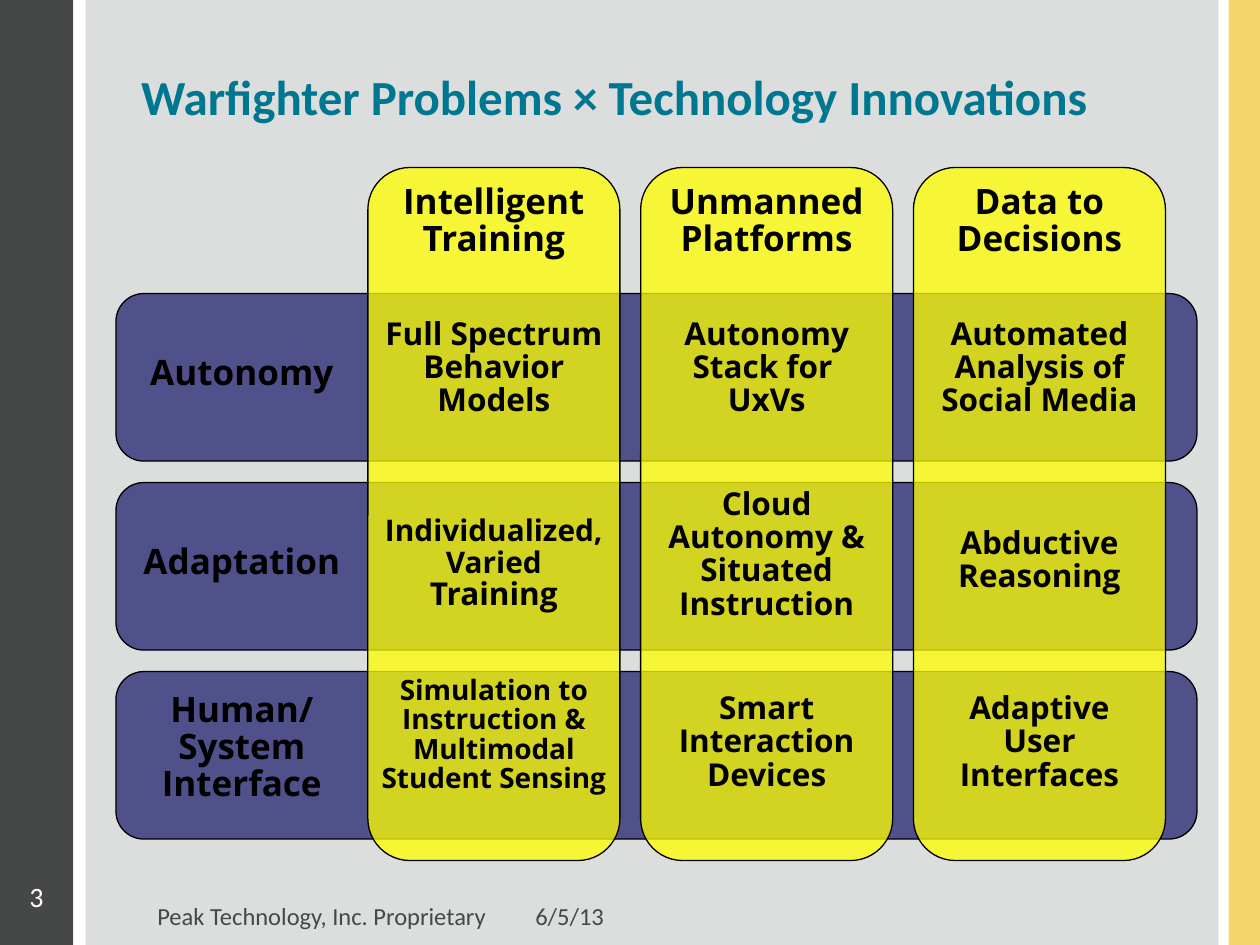
"""Build the slide that crosses warfighter problems with technology innovations."""
from lxml import etree
from pptx import Presentation
from pptx.dml.color import RGBColor
from pptx.enum.shapes import MSO_SHAPE
from pptx.enum.text import MSO_ANCHOR, PP_ALIGN
from pptx.oxml.ns import qn
from pptx.util import Inches, Pt

RECT, ROUND = MSO_SHAPE.RECTANGLE, MSO_SHAPE.ROUNDED_RECTANGLE
LEFT, CENTER = PP_ALIGN.LEFT, PP_ALIGN.CENTER
TOP, MIDDLE = MSO_ANCHOR.TOP, MSO_ANCHOR.MIDDLE

BLACK = RGBColor(0x00, 0x00, 0x00)
WHITE = RGBColor(0xFF, 0xFF, 0xFF)
DARK = RGBColor(0x46, 0x48, 0x47)
GOLD = RGBColor(0xF4, 0xD6, 0x6C)
GRAY = RGBColor(0xDC, 0xDE, 0xDE)
TEAL = RGBColor(0x00, 0x77, 0x90)
NAVY = RGBColor(0x26, 0x26, 0x73)
YELLOW = RGBColor(0xFF, 0xFF, 0x00)

TITLE = "Warfighter Problems × Technology Innovations"
FOOTER = "Peak Technology, Inc. Proprietary \t6/5/13"
NUMBER = "3"
PANELS = [(0, 0.58, DARK), (9.75, 0.25, GOLD), (0.68, 8.99, GRAY)]
HEADS = ["Intelligent\vTraining", "Unmanned\vPlatforms", "Data to\vDecisions"]
ROWS = [
    ("Autonomy", 2.78, 0.44),
    ("Adaptation", 4.28, 0.44),
    ("Human/System\vInterface", 5.45, 1.11),
]
CELLS = [
    [("Full Spectrum Behavior Models", 18, 2.48, 1.01),
     ("Autonomy\vStack for \vUxVs", 18, 2.48, 1.01),
     ("Automated\vAnalysis of\nSocial Media", 18, 2.48, 1.01)],
    [("Individualized, Varied\vTraining", 17, 4.05, 0.99),
     ("Cloud Autonomy & Situated Instruction", 18, 3.83, 1.31),
     ("Abductive\vReasoning", 18, 4.14, 0.71)],
    [("Simulation to Instruction & Multimodal\vStudent Sensing", 16, 5.32, 1.45),
     ("Smart\vInteraction\vDevices", 18, 5.45, 1.01),
     ("Adaptive\vUser\nInterfaces", 18, 5.45, 1.01)],
]
ROW_X, ROW_Y, ROW_W, ROW_H, ROW_STEP = 0.92, 2.33, 8.58, 1.33, 1.5
COL_X, COL_Y, COL_W, COL_H, COL_STEP = 2.92, 1.33, 2, 5.5, 2.165


def place(box):
    return [Inches(v) for v in box]


def write(frame, text, size=18, font="Open Sans", color=BLACK, bold=True,
          align=CENTER, anchor=TOP, space=0.88):
    frame.text = text
    frame.word_wrap = True
    frame.vertical_anchor = anchor
    for par in frame.paragraphs:
        par.alignment = align
        par.line_spacing = space
        for run in par.runs:
            face = run.font
            face.name, face.size, face.bold = font, Pt(size), bold
            face.color.rgb = color


def label(slide, box, text, **style):
    frame = slide.shapes.add_textbox(*place(box)).text_frame
    write(frame, text, **style)
    return frame


def block(slide, kind, box, color, alpha=None):
    shape = slide.shapes.add_shape(kind, *place(box))
    shape.shadow.inherit = False
    shape.fill.solid()
    shape.fill.fore_color.rgb = color
    if alpha is None:
        shape.line.fill.background()
    else:
        tint = shape._element.spPr.find(qn("a:solidFill"))[0]
        etree.SubElement(tint, qn("a:alpha"), val=str(alpha * 1000))
        shape.line.color.rgb = BLACK
        shape.line.width = Pt(0.75)


def main():
    deck = Presentation()
    deck.slide_width, deck.slide_height = Inches(10), Inches(7.5)
    slide = deck.slides.add_slide(deck.slide_layouts[5])
    for left, width, color in PANELS:
        block(slide, RECT, (left, 0, width, 7.5), color)

    title = slide.shapes.title
    title._element.getparent().append(title._element)
    title.left, title.top, title.width, title.height = place((1.02, 0.44, 8.29, 0.64))
    write(title.text_frame, TITLE, size=28, font="Calibri", color=TEAL,
          align=LEFT, anchor=MIDDLE, space=1)
    label(slide, (1.15, 7.1, 8.08, 0.33), FOOTER, size=14, font="Calibri",
          color=DARK, bold=False, align=LEFT, space=1)
    label(slide, (0, 6.93, 0.58, 0.5), NUMBER, size=16, font="Calibri",
          color=WHITE, bold=False, space=1)

    for i in reversed(range(len(ROWS))):
        block(slide, ROUND, (ROW_X, ROW_Y + i * ROW_STEP, ROW_W, ROW_H), NAVY, 77)
    cols = [COL_X + i * COL_STEP for i in range(len(HEADS))]
    for left in reversed(cols):
        block(slide, ROUND, (left, COL_Y, COL_W, COL_H), YELLOW, 75)

    for left, text in zip(cols, HEADS):
        label(slide, (left, 1.42, COL_W, 0.77), text, size=20)
    for text, top, height in ROWS:
        label(slide, (ROW_X, top, COL_W, height), text, size=20)
    for line in CELLS:
        for left, (text, size, top, height) in zip(cols, line):
            frame = label(slide, (left, top, COL_W, height), text, size=size)
            if size == 17:
                frame.paragraphs[0].runs[-1].font.size = Pt(18)

    deck.save("out.pptx")


if __name__ == "__main__":
    main()
